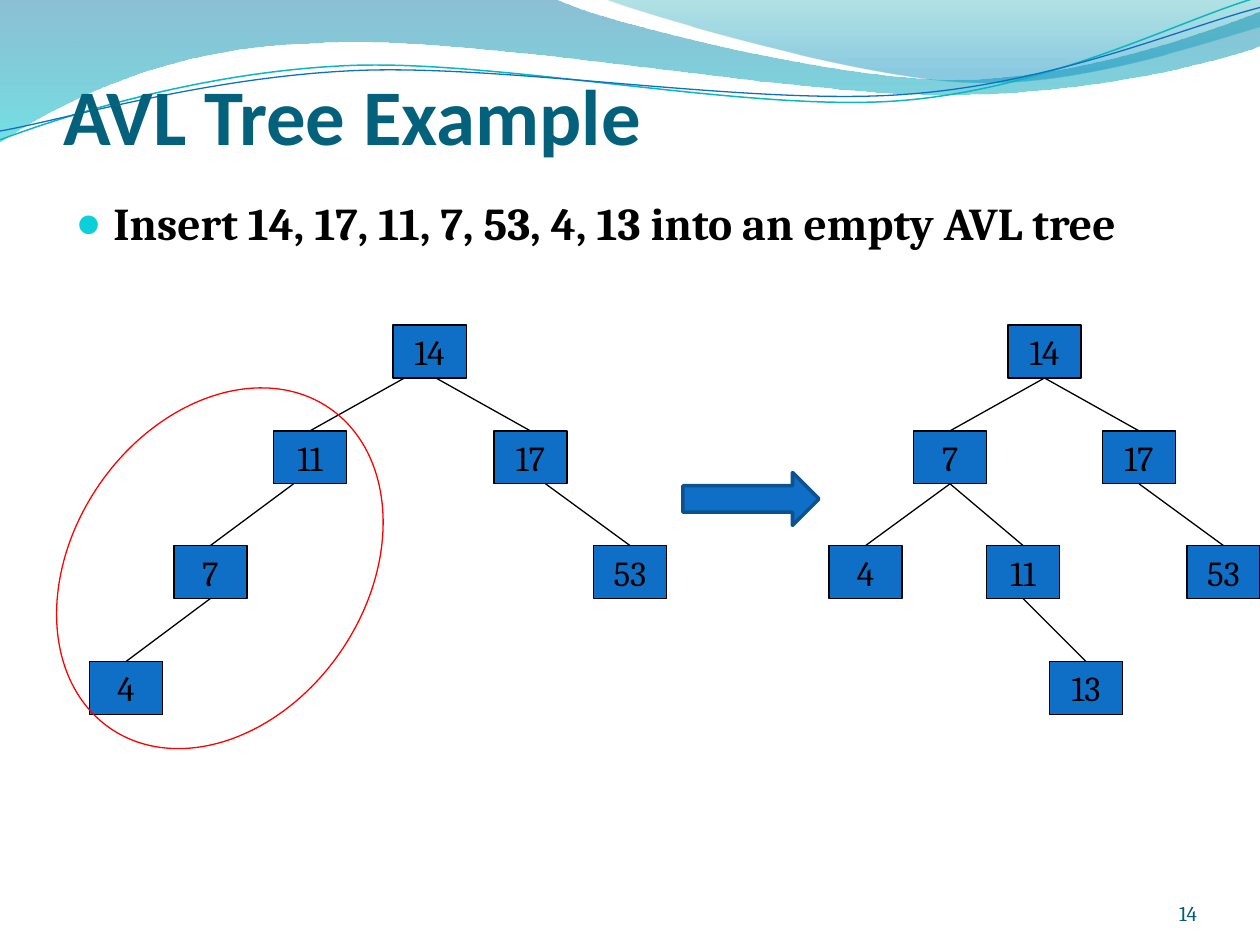
from dataclasses import dataclass
from math import cos, radians, sin

from lxml import etree
from pptx import Presentation
from pptx.dml.color import RGBColor
from pptx.enum.shapes import MSO_CONNECTOR, MSO_SHAPE
from pptx.enum.text import MSO_ANCHOR, MSO_AUTO_SIZE, PP_ALIGN
from pptx.oxml.ns import qn
from pptx.util import Inches, Pt

STRAIGHT = MSO_CONNECTOR.STRAIGHT
RECTANGLE, ELLIPSE, ARROW = MSO_SHAPE.RECTANGLE, MSO_SHAPE.OVAL, MSO_SHAPE.RIGHT_ARROW
MIDDLE, BOTTOM = MSO_ANCHOR.MIDDLE, MSO_ANCHOR.BOTTOM
LEFT, CENTER, RIGHT = PP_ALIGN.LEFT, PP_ALIGN.CENTER, PP_ALIGN.RIGHT
NO_AUTOFIT = MSO_AUTO_SIZE.NONE
TOP_SIDE, BOTTOM_SIDE = 0, 2


@dataclass(frozen=True)
class Theme:
    heading_font: str = "Calibri"
    body_font: str = "Cambria"
    title_size: float = 45
    body_size: float = 26
    node_size: float = 20
    number_size: float = 12
    thin: float = 0.75
    title: str = "04617B"
    text: str = "000000"
    bullet: str = "0BD0D9"
    node: str = "0F6FC6"
    arrow_line: str = "0B5292"
    highlight: str = "FF0000"
    number: str = "045D75"
    teal_line: str = "0AB8BF"
    # Gradient stops: position, colour, opacity in percent
    wide_band: tuple = ((0, "0074A1", 45), (1, "00C6CF", 55))
    right_band: tuple = ((0, "00A1A9", 30), (0.8, "008BBF", 45))


THEME = Theme()

NODE_WIDTH, NODE_HEIGHT = 0.58, 0.42
LEVEL_TOPS = (2.58, 3.42, 4.33, 5.25)

# Nodes: value -> (left, level). Edges: parent, child, shift of start from the middle.
UNBALANCED_NODES = {"14": (3.12, 0), "17": (3.92, 1), "11": (2.17, 1),
                    "7": (1.38, 2), "53": (4.71, 2), "4": (0.71, 3)}
UNBALANCED_EDGES = [("14", "17", 0.05), ("14", "11", -0.2), ("11", "7", -0.13),
                    ("17", "53", 0.12), ("7", "4", 0)]
BALANCED_NODES = {"14": (8, 0), "17": (8.75, 1), "7": (7.25, 1), "4": (6.58, 2),
                  "53": (9.42, 2), "11": (7.83, 2), "13": (8.33, 3)}
BALANCED_EDGES = [("14", "7", 0), ("14", "17", 0), ("7", "4", 0),
                  ("17", "53", 0), ("7", "11", 0), ("11", "13", 0)]

# Each outline is a list of segments: one point for a line, three for a Bezier curve.
WIDE_BAND = [[(0, 0)], [(4.4, -0.01)],
             [(4.76, 0.17), (6.64, 0.63), (7.58, 0.63)],
             [(8.53, 0.63), (9.58, 0.26), (10, 0.09)], [(10.01, 0.36)],
             [(9.83, 0.44), (8.7, 0.76), (7.46, 0.75)],
             [(6.22, 0.75), (3.82, 0.28), (2.57, 0.34)],
             [(1.29, 0.36), (0.46, 0.83), (-0.01, 1.13)], [(0, 0)]]
RIGHT_BAND = [[(4.79, -0.01)],
              [(5.09, 0.11), (6.82, 0.62), (7.69, 0.65)],
              [(8.56, 0.69), (9.61, 0.32), (10, 0.21)], [(10, 0)], [(4.79, -0.01)]]
TEAL_WAVE = [[(0, 1.11)],
             [(0.48, 0.93), (1.58, 0.57), (2.77, 0.52)],
             [(3.95, 0.47), (5.93, 0.89), (7.13, 0.8)],
             [(8.33, 0.71), (9.38, 0.15), (9.98, -0.02)]]
BLUE_WAVE = [[(0, 1.04)],
             [(0.47, 0.96), (1.64, 0.61), (2.83, 0.56)],
             [(4.03, 0.51), (5.97, 0.84), (7.17, 0.75)],
             [(8.36, 0.67), (9.41, 0.21), (10, 0.06)]]
WAVE_TILT = 2.7


def color(value):
    return RGBColor.from_string(value)


def style_line(shape, line_color, width):
    shape.line.color.rgb = color(line_color)
    shape.line.width = Pt(width)


def style_font(paragraph, name, size, font_color, bold=False):
    font = paragraph.font
    font.name, font.size, font.bold = name, Pt(size), bold
    font.color.rgb = color(font_color)


def place(shape, left, top, width, height):
    shape.left, shape.top = Inches(left), Inches(top)
    shape.width, shape.height = Inches(width), Inches(height)


def set_insets(frame, top=0, bottom=0):
    frame.margin_left = frame.margin_right = 0
    frame.margin_top, frame.margin_bottom = Inches(top), Inches(bottom)


def add_outline(slide, segments, close):
    """Build a freeform through all control points, then join them into curves."""
    points = [(Inches(x), Inches(y)) for segment in segments for x, y in segment]
    builder = slide.shapes.build_freeform(*points[0])
    builder.add_line_segments(points[1:], close=close)
    shape = builder.convert_to_shape()
    shape.shadow.inherit = False
    lines = shape.element.iter(qn("a:lnTo"))
    steps = iter(list(lines))
    for segment in segments[1:]:
        first, *others = [next(steps) for _ in segment]
        if others:
            first.tag = qn("a:cubicBezTo")
            for step in others:
                first.append(step[0])
                step.getparent().remove(step)
    return shape


def add_band(slide, segments, stops):
    shape = add_outline(slide, segments, close=True)
    shape.line.fill.background()
    shape.fill.gradient()
    shape.fill.gradient_angle = 270
    for stop, (position, stop_color, _) in zip(shape.fill.gradient_stops, stops):
        stop.position = position
        stop.color.rgb = color(stop_color)
    for element, (_, _, opacity) in zip(shape.element.iter(qn("a:srgbClr")), stops):
        etree.SubElement(element, qn("a:alpha"), val=str(opacity * 1000))


def turn(point, center, degrees):
    dx, dy = point[0] - center[0], point[1] - center[1]
    angle = radians(degrees)
    return (center[0] + dx * cos(angle) - dy * sin(angle),
            center[1] + dx * sin(angle) + dy * cos(angle))


def add_wave(slide, segments, center, line_color, width):
    """Draw the wave level and tilt the shape about its center."""
    level = [[turn(point, center, WAVE_TILT) for point in segment] for segment in segments]
    shape = add_outline(slide, level, close=False)
    shape.rotation = 360 - WAVE_TILT
    shape.fill.background()
    style_line(shape, line_color, width)


def add_preset(slide, preset, box, fill, line_color, width):
    shape = slide.shapes.add_shape(preset, *map(Inches, box))
    shape.shadow.inherit = False
    if fill:
        shape.fill.solid()
        shape.fill.fore_color.rgb = color(fill)
    else:
        shape.fill.background()
    style_line(shape, line_color, width)
    return shape


def add_node(slide, value, left, level):
    box = (left, LEVEL_TOPS[level], NODE_WIDTH, NODE_HEIGHT)
    shape = add_preset(slide, RECTANGLE, box, THEME.node, THEME.text, THEME.thin)
    frame = shape.text_frame
    frame.word_wrap, frame.vertical_anchor = False, MIDDLE
    paragraph = frame.paragraphs[0]
    paragraph.text, paragraph.alignment = value, CENTER
    style_font(paragraph, THEME.body_font, THEME.node_size, THEME.text)
    return shape


def add_edge(slide, parent, child, shift):
    start = parent.left + parent.width // 2 + Inches(shift)
    connector = slide.shapes.add_connector(
        STRAIGHT, start, parent.top + parent.height, child.left, child.top)
    if not shift:
        connector.begin_connect(parent, BOTTOM_SIDE)
    connector.end_connect(child, TOP_SIDE)
    style_line(connector, THEME.text, THEME.thin)
    etree.SubElement(connector.element.spPr, qn("a:effectLst"))


def add_tree(slide, nodes, edges):
    shapes = {value: add_node(slide, value, *spot) for value, spot in nodes.items()}
    for parent, child, shift in edges:
        add_edge(slide, shapes[parent], shapes[child], shift)


def fill_title(title, text):
    place(title, 0.5, 0.77, 9, 1.25)
    frame = title.text_frame
    frame.auto_size, frame.vertical_anchor = NO_AUTOFIT, BOTTOM
    set_insets(frame, top=0.05, bottom=0.74)
    paragraph = frame.paragraphs[0]
    paragraph.text, paragraph.alignment = text, LEFT
    style_font(paragraph, THEME.heading_font, THEME.title_size, THEME.title, bold=True)


def fill_body(body, text):
    place(body, 0.5, 1.5, 9, 5.42)
    body.text_frame.auto_size = NO_AUTOFIT
    paragraph = body.text_frame.paragraphs[0]
    paragraph.text, paragraph.space_before = text, Pt(0)
    properties = paragraph._p.get_or_add_pPr()
    properties.set("marL", str(Inches(0.3)))
    properties.set("indent", str(Inches(-0.3)))
    bullet_color = etree.SubElement(properties, qn("a:buClr"))
    etree.SubElement(bullet_color, qn("a:srgbClr"), val=THEME.bullet)
    etree.SubElement(properties, qn("a:buSzPct"), val="95000")
    etree.SubElement(properties, qn("a:buChar"), char="●")
    style_font(paragraph, THEME.body_font, THEME.body_size, THEME.text, bold=True)


def add_page_number(slide, text):
    frame = slide.shapes.add_textbox(*map(Inches, (8.67, 6.95, 0.83, 0.4))).text_frame
    frame.word_wrap, frame.vertical_anchor = True, BOTTOM
    set_insets(frame)
    paragraph = frame.paragraphs[0]
    paragraph.text, paragraph.alignment = text, RIGHT
    style_font(paragraph, THEME.body_font, THEME.number_size, THEME.number)


def main():
    presentation = Presentation()
    presentation.slide_width, presentation.slide_height = Inches(10), Inches(7.5)
    slide = presentation.slides.add_slide(presentation.slide_layouts[1])
    title, body = slide.placeholders
    add_band(slide, WIDE_BAND, THEME.wide_band)
    add_band(slide, RIGHT_BAND, THEME.right_band)
    add_wave(slide, TEAL_WAVE, (4.99, 0.57), THEME.teal_line, 0.85)
    add_wave(slide, BLUE_WAVE, (5, 0.59), THEME.node, THEME.thin)
    for placeholder in (title, body):  # bring the text in front of the waves
        slide.shapes._spTree.append(placeholder.element)
    fill_title(title, "AVL Tree Example")
    fill_body(body, "Insert 14, 17, 11, 7, 53, 4, 13 into an empty AVL tree")
    add_tree(slide, UNBALANCED_NODES, UNBALANCED_EDGES)
    highlight = add_preset(slide, ELLIPSE, (0.58, 2.97, 2.33, 3.08), None,
                           THEME.highlight, THEME.thin)
    highlight.rotation = 34.3
    add_tree(slide, BALANCED_NODES, BALANCED_EDGES)
    add_preset(slide, ARROW, (5.42, 3.75, 1.08, 0.42), THEME.node, THEME.arrow_line, 2)
    add_page_number(slide, "14")
    presentation.save("out.pptx")


if __name__ == "__main__":
    main()
